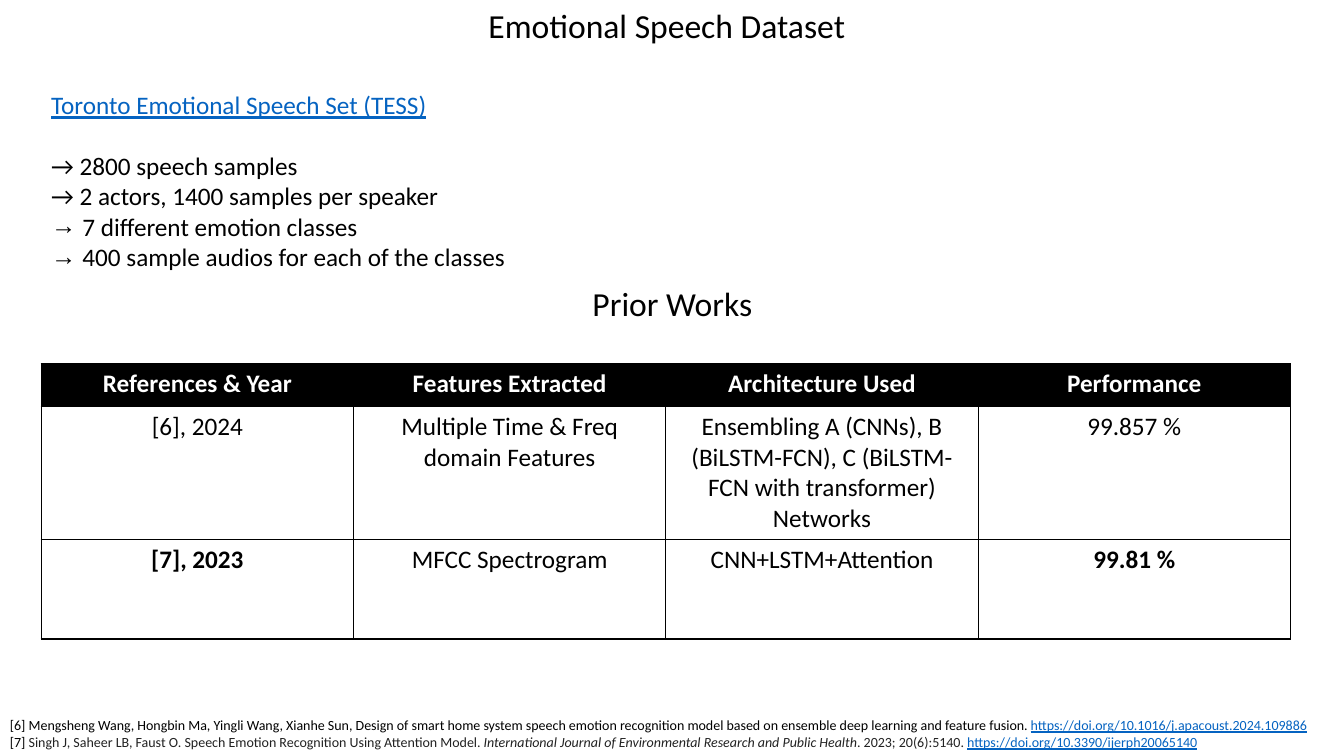
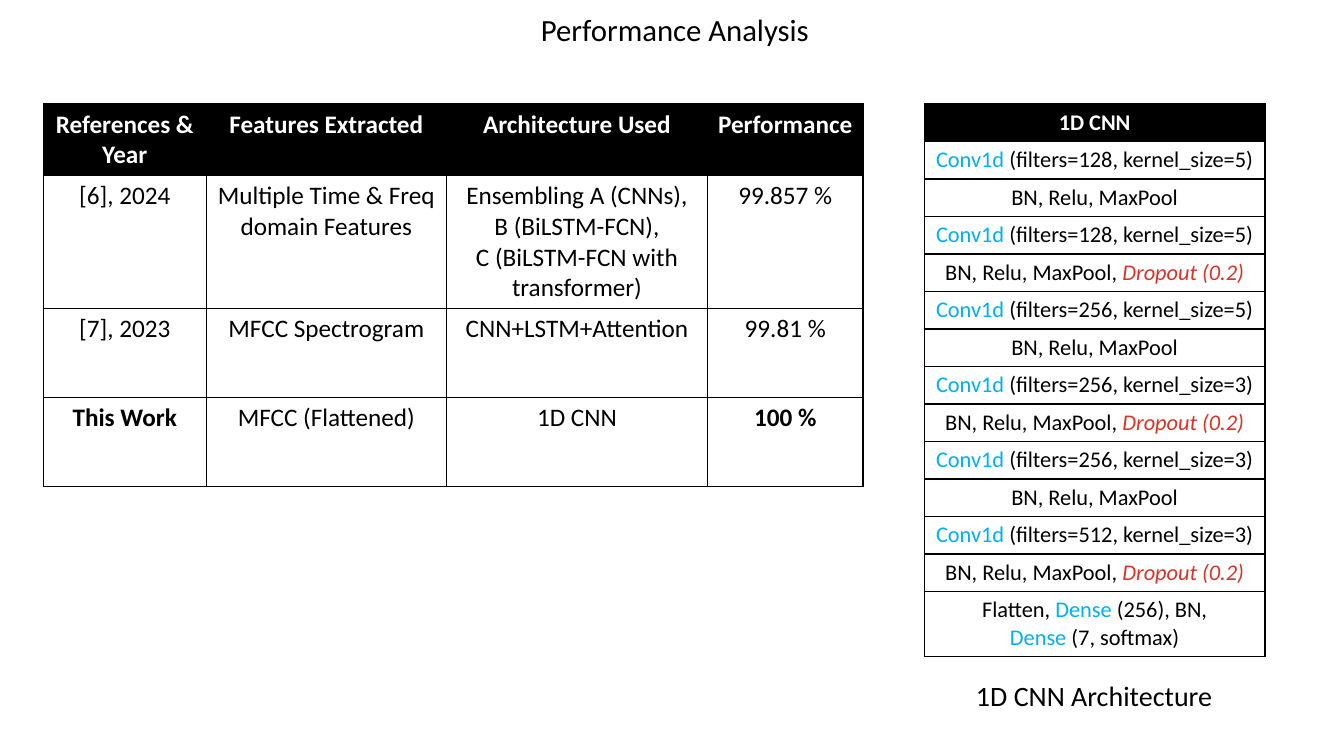
from lxml import etree
from pptx import Presentation
from pptx.dml.color import RGBColor
from pptx.enum.text import MSO_AUTO_SIZE, PP_ALIGN
from pptx.oxml import parse_xml
from pptx.oxml.ns import nsdecls, qn
from pptx.util import Cm, Pt

CENTER = PP_ALIGN.CENTER
LEFT = PP_ALIGN.LEFT
NO_AUTOSIZE = MSO_AUTO_SIZE.NONE

FONT = "Calibri"
COLORS = {
    "black": "000000",
    "white": "FFFFFF",
    "link": "0563C1",
    "citation": "222222",
    "layer": "00B0F0",
    "dropout": "D93427",
}
STYLES = {
    "plain": {"color": "black"},
    "strong": {"color": "black", "bold": True},
    "header": {"color": "white", "bold": True},
    "link": {"color": "link", "underline": True},
    "citation": {"color": "citation"},
    "journal": {"color": "citation", "italic": True},
    "layer": {"color": "layer"},
    "dropout": {"color": "dropout", "italic": True},
}
BORDER_SIDES = ("lnL", "lnR", "lnT", "lnB")
BULLET_INDENT = Cm(0.79)

TABLE_HEADER = ["References & Year", "Features Extracted", "Architecture Used", "Performance"]
ENSEMBLE_FEATURES = "Multiple Time & Freq domain Features"
ATTENTION_WORK = ["[7], 2023", "MFCC Spectrogram", "CNN+LSTM+Attention", "99.81 %"]
PRIOR_WORKS = [
    TABLE_HEADER,
    [
        "[6], 2024",
        ENSEMBLE_FEATURES,
        "Ensembling A (CNNs), B (BiLSTM-FCN), C (BiLSTM-FCN with transformer) Networks",
        "99.857 %",
    ],
    ATTENTION_WORK,
]
PERFORMANCE = [
    TABLE_HEADER,
    [
        "[6], 2024",
        ENSEMBLE_FEATURES,
        "Ensembling A (CNNs),\nB (BiLSTM-FCN),\nC (BiLSTM-FCN with transformer)",
        "99.857 %",
    ],
    ATTENTION_WORK,
    ["This Work", "MFCC (Flattened)", "1D CNN", "100 %"],
]
CONVOLUTIONS = [(128, 5), (128, 5), (256, 5), (256, 3), (256, 3), (512, 3)]
DATASET_FACTS = ["→ 2800 speech samples", "→ 2 actors, 1400 samples per speaker"]
DATASET_CLASSES = ["7 different emotion classes", "400 sample audios for each of the classes"]
CITATIONS = [
    [
        (
            "[6] Mengsheng Wang, Hongbin Ma, Yingli Wang, Xianhe Sun, Design of smart home system "
            "speech emotion recognition model based on ensemble deep learning and feature fusion. ",
            "plain",
        ),
        ("https://doi.org/10.1016/j.apacoust.2024.109886", "link"),
    ],
    [
        ("[7] ", "plain"),
        (
            "Singh J, Saheer LB, Faust O. Speech Emotion Recognition Using Attention Model. ",
            "citation",
        ),
        ("International Journal of Environmental Research and Public Health", "journal"),
        (". 2023; 20(6):5140. ", "citation"),
        ("https://doi.org/10.3390/ijerph20065140", "link"),
    ],
]


def set_attributes(target, values):
    for name, value in values.items():
        setattr(target, name, value)


def hex_color(name):
    return RGBColor.from_string(COLORS[name])


def styled_lines(text, style):
    return [[(line, style)] for line in text.split("\n")]


def write_text(text_frame, lines, size, alignment):
    for index, line in enumerate(lines):
        paragraph = text_frame.paragraphs[0] if index == 0 else text_frame.add_paragraph()
        paragraph.alignment = alignment
        for text, style in line:
            run = paragraph.add_run()
            run.text = text
            values = {"name": FONT, "size": Pt(size), "bold": False, **STYLES[style]}
            run.font.color.rgb = hex_color(values.pop("color"))
            set_attributes(run.font, values)


def add_text(slide, box, lines, size, alignment=LEFT, wrap=True):
    shape = slide.shapes.add_textbox(*box)
    set_attributes(shape.text_frame, {"word_wrap": wrap, "auto_size": NO_AUTOSIZE})
    write_text(shape.text_frame, lines, size, alignment)
    return shape.text_frame.paragraphs


def add_heading(slide, box, text, size):
    add_text(slide, box, styled_lines(text, "plain"), size, CENTER, wrap=False)


def add_bullet(paragraph):
    properties = paragraph._p.get_or_add_pPr()
    properties.set("marL", str(BULLET_INDENT))
    properties.set("indent", str(-BULLET_INDENT))
    etree.SubElement(properties, qn("a:buFont")).set("typeface", "Arial")
    etree.SubElement(properties, qn("a:buChar")).set("char", "→")


def format_cell(cell, fill):
    properties = cell._tc.get_or_add_tcPr()
    for side in BORDER_SIDES:
        properties.append(parse_xml(
            f'<a:{side} {nsdecls("a")} w="{Pt(1)}"><a:solidFill>'
            f'<a:srgbClr val="{COLORS["black"]}"/></a:solidFill></a:{side}>'
        ))
    cell.fill.solid()
    cell.fill.fore_color.rgb = hex_color(fill)


def add_grid(slide, left, top, widths, heights, rows, size):
    frame = slide.shapes.add_table(
        len(rows), len(widths), left, top, sum(widths), sum(heights)
    )
    table = frame.table
    set_attributes(table, {"first_row": False, "horz_banding": False})
    for column, width in zip(table.columns, widths):
        column.width = width
    for row, height in zip(table.rows, heights):
        row.height = height
    for row_index, row in enumerate(rows):
        for column_index, lines in enumerate(row):
            cell = table.cell(row_index, column_index)
            format_cell(cell, "white" if row_index else "black")
            write_text(cell.text_frame, lines, size, CENTER)


def add_comparison(slide, left, top, widths, heights, records):
    def cell_style(row_index, column_index):
        if row_index == 0:
            return "header"
        is_last_row = row_index == len(records) - 1
        is_outer_column = column_index in (0, len(widths) - 1)
        return "strong" if is_last_row and is_outer_column else "plain"

    rows = [
        [styled_lines(text, cell_style(row, column)) for column, text in enumerate(record)]
        for row, record in enumerate(records)
    ]
    add_grid(slide, left, top, widths, heights, rows, 18)


def add_network(slide, left, top, width):
    layers = [styled_lines("1D CNN", "header")]
    for index, (filters, kernel) in enumerate(CONVOLUTIONS):
        settings = f"(filters={filters}, kernel_size={kernel})"
        layers.append([[("Conv1d ", "layer"), (settings, "plain")]])
        if index % 2:
            pooling = [("BN, Relu, MaxPool, ", "plain"), ("Dropout (0.2)", "dropout")]
        else:
            pooling = [("BN, Relu, MaxPool", "plain")]
        layers.append([pooling])
    layers.append([
        [("Flatten, ", "plain"), ("Dense ", "layer"), ("(256), BN,", "plain")],
        [("Dense ", "layer"), ("(7, softmax)", "plain")],
    ])
    heights = [Cm(0.93)] * (len(layers) - 1) + [Cm(1.63)]
    add_grid(slide, left, top, [width], heights, [[layer] for layer in layers], 16)


def add_dataset(slide, box):
    lines = styled_lines("Toronto Emotional Speech Set (TESS)", "link")
    for text in DATASET_FACTS + DATASET_CLASSES:
        lines += styled_lines(text, "plain")
    paragraphs = add_text(slide, box, lines, 18)
    paragraphs[0].space_after = Pt(22)
    for paragraph in paragraphs[-len(DATASET_CLASSES):]:
        add_bullet(paragraph)


def build_dataset_slide(slide, slide_width):
    add_heading(slide, (Cm(11.84), 0, Cm(9.93), Cm(1.27)), "Emotional Speech Dataset", 24)
    add_dataset(slide, (Cm(1.04), Cm(2.13), Cm(12.7), Cm(4.88)))
    add_heading(slide, (Cm(14.66), Cm(7.01), Cm(4.57), Cm(1.27)), "Prior Works", 24)
    heights = [Cm(1.07), Cm(3.3), Cm(2.51)]
    add_comparison(slide, Cm(1.04), Cm(9.17), [Cm(7.87)] * 4, heights, PRIOR_WORKS)
    add_text(slide, (0, Cm(17.93), slide_width, Cm(1.12)), CITATIONS, 10)


def build_performance_slide(slide):
    top = Cm(2.62)
    add_heading(slide, (Cm(13.34), Cm(0.15), Cm(7.34), Cm(1.19)), "Performance Analysis", 22)
    widths = [Cm(4.11), Cm(6.05), Cm(6.58), Cm(3.92)]
    heights = [Cm(1.78), Cm(3.35), Cm(2.24), Cm(2.24)]
    add_comparison(slide, Cm(1.09), top, widths, heights, PERFORMANCE)
    add_network(slide, Cm(23.29), top, Cm(8.59))
    add_heading(slide, (Cm(24.31), Cm(16.97), Cm(6.53), Cm(1.12)), "1D CNN Architecture", 20)


def main():
    presentation = Presentation()
    set_attributes(presentation, {"slide_width": Cm(33.87), "slide_height": Cm(19.05)})
    blank = presentation.slide_layouts[6]
    build_dataset_slide(presentation.slides.add_slide(blank), presentation.slide_width)
    build_performance_slide(presentation.slides.add_slide(blank))
    presentation.save("out.pptx")


if __name__ == "__main__":
    main()
